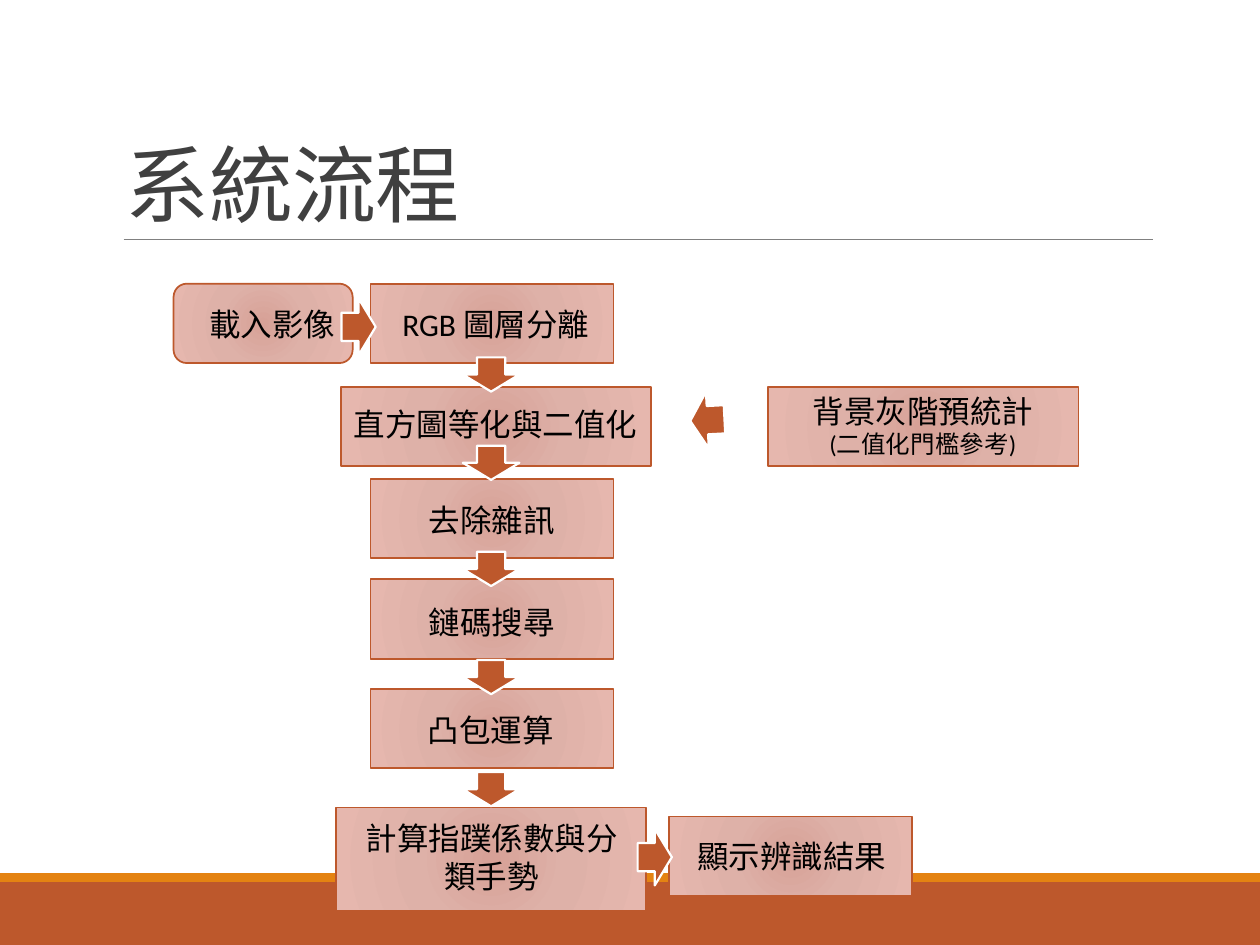
from pptx import Presentation
from pptx.dml.color import RGBColor
from pptx.enum.shapes import MSO_CONNECTOR, MSO_SHAPE
from pptx.enum.text import MSO_ANCHOR, PP_ALIGN
from pptx.oxml import parse_xml
from pptx.oxml.ns import nsdecls, qn
from pptx.util import Cm, Pt

RUST = RGBColor(0xBD, 0x58, 0x2C)
AMBER = RGBColor(0xE4, 0x83, 0x12)
GREY = RGBColor(0x80, 0x80, 0x80)
DARK = RGBColor(0x40, 0x40, 0x40)
BLACK = RGBColor(0, 0, 0)
WHITE = RGBColor(0xFF, 0xFF, 0xFF)
STOPS = (
    (0, RGBColor(0xD7, 0xA1, 0x97)),
    (45, RGBColor(0xDE, 0xB1, 0xA8)),
    (100, RGBColor(0xE6, 0xB7, 0xAE)),
)

LABEL = {"name": "Calibri", "size": Pt(18)}
NOTE = {"name": "Calibri", "size": Pt(14)}
TITLE = {"name": "Calibri", "size": Pt(48)}

BOX_H = 1.6
TEXT_H = 1.02
ARROW_W, ARROW_H = 0.69, 1.14
MID_X = 9.9  # centre of the downward arrows

# left, top, width, height of the box; left, top, width of its text; lines
STEPS = (
    ((7.47, 5.72, 4.9, BOX_H), (7.57, 6.02, 4.85), ["RGB 圖層分離"]),
    ((6.88, 7.8, 6.25, BOX_H), (6.86, 8.05, 6.25), ["直方圖等化與二值化"]),
    ((13.49, 16.46, 4.9, BOX_H), (13.54, 16.74, 4.85), ["顯示辨識結果"]),
    ((7.47, 9.65, 4.9, BOX_H), (7.49, 9.98, 4.85), ["去除雜訊"]),
    ((7.47, 11.68, 4.9, BOX_H), (7.49, 12.04, 4.85), ["鏈碼搜尋"]),
    ((7.47, 13.89, 4.9, BOX_H), (7.47, 14.2, 4.85), ["凸包運算"]),
    ((6.78, 16.28, 6.25, 2.08), (6.99, 16.38, 5.84), ["計算指蹼係數與分類手勢"]),
    ((15.49, 7.8, 6.25, BOX_H), (15.57, 7.77, 6.07),
     ["背景灰階預統計", "(二值化門檻參考)"]),
)
DOWN_Y = (7.55, 9.33, 11.47, 13.65, 15.91)  # centres of the downward arrows


def style(item, looks):
    for key, value in looks.items():
        setattr(item, key, value)


def shape(slide, kind, area, fill=None, line=None, width=1):
    item = slide.shapes.add_shape(kind, *map(Cm, area))
    item.shadow.inherit = False
    if fill is not None:
        item.fill.solid()
        item.fill.fore_color.rgb = fill
    if line is None:
        item.line.fill.background()
    else:
        item.line.color.rgb = line
        item.line.width = Pt(width)
    return item


def glow(item):
    """Fill with the radial gradient shared by all the boxes."""
    item.fill.gradient()
    props = item._element.spPr
    stops = "".join(
        f'<a:gs pos="{pos * 1000}"><a:srgbClr val="{tone}"/></a:gs>'
        for pos, tone in STOPS)
    props.replace(props.find(qn("a:gradFill")), parse_xml(
        f'<a:gradFill {nsdecls("a")} rotWithShape="1"><a:gsLst>{stops}</a:gsLst>'
        '<a:path path="circle"><a:fillToRect l="100000" t="100000" '
        'r="100000" b="100000"/></a:path></a:gradFill>'))


def text(slide, area, lines, looks, tone=BLACK, align=PP_ALIGN.CENTER):
    """Write one paragraph for each line, with its own format."""
    frame = slide.shapes.add_textbox(*map(Cm, area)).text_frame
    frame.word_wrap = True
    for i, (words, look) in enumerate(zip(lines, looks)):
        para = frame.paragraphs[0] if i == 0 else frame.add_paragraph()
        para.alignment = align
        run = para.add_run()
        run.text = words
        style(run.font, look)
        run.font.color.rgb = tone
    return frame


def step(slide, area, place, lines, kind=MSO_SHAPE.FLOWCHART_PROCESS):
    glow(shape(slide, kind, area, line=RUST))
    text(slide, (*place, TEXT_H * len(lines)), lines, (LABEL, NOTE))


def arrow(slide, x, y, turn=0):
    """Place an arrow by its centre."""
    area = (x - ARROW_W / 2, y - ARROW_H / 2, ARROW_W, ARROW_H)
    item = shape(slide, MSO_SHAPE.RIGHT_ARROW, area, RUST, WHITE, 1.25)
    item.rotation = turn


def rule(slide, left, right, y):
    line = slide.shapes.add_connector(
        MSO_CONNECTOR.STRAIGHT, Cm(left), Cm(y), Cm(right), Cm(y))
    line.line.color.rgb = GREY
    line.line.width = Pt(0.5)
    line._element.spPr.append(parse_xml(f'<a:effectLst {nsdecls("a")}/>'))


def title(slide, words):
    frame = text(slide, (2.29, 0.79, 20.96, 4.04), [words], [TITLE],
                 DARK, PP_ALIGN.LEFT)
    frame.vertical_anchor = MSO_ANCHOR.BOTTOM
    para = frame.paragraphs[0]
    para.line_spacing = 0.85
    para.runs[0]._r.get_or_add_rPr().set("spc", "-50")


def main():
    deck = Presentation()
    style(deck, {"slide_width": Cm(25.4), "slide_height": Cm(19.05)})
    slide = deck.slides.add_slide(deck.slide_layouts[6])

    shape(slide, MSO_SHAPE.RECTANGLE, (0, 17.78, 25.4, 1.27), RUST)
    shape(slide, MSO_SHAPE.RECTANGLE, (0, 17.6, 25.4, 0.18), AMBER)
    rule(slide, 2.49, 23.24, 4.83)
    title(slide, "系統流程")

    step(slide, (3.5, 5.72, 3.61, BOX_H), (3.89, 6.02, 3.2), ["載入影像"],
         MSO_SHAPE.FLOWCHART_ALTERNATE_PROCESS)
    for area, place, lines in STEPS:
        step(slide, area, place, lines)

    for y in DOWN_Y:
        arrow(slide, MID_X, y, 90)
    arrow(slide, 7.23, 6.59)
    arrow(slide, 13.2, 17.28)
    arrow(slide, 14.26, 8.47, 177.1)

    deck.save("out.pptx")


if __name__ == "__main__":
    main()
